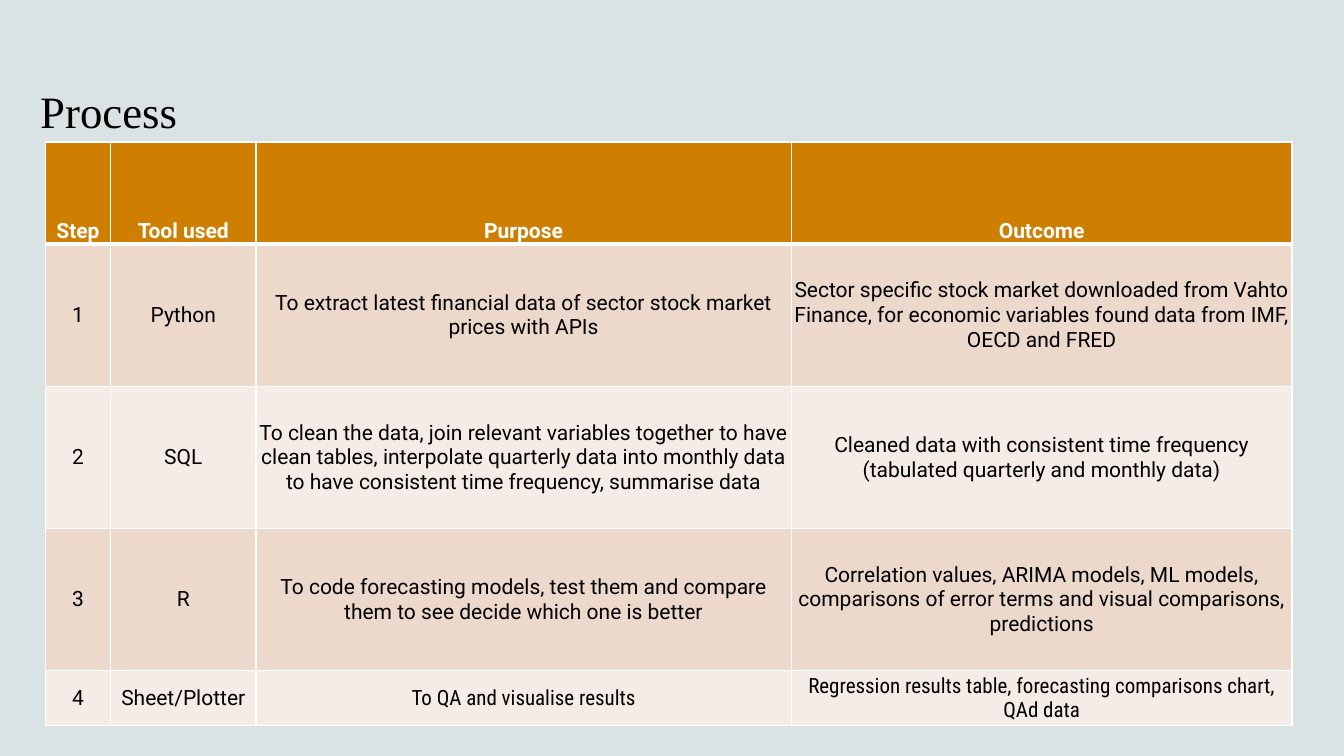
from pptx import Presentation
from pptx.dml.color import RGBColor
from pptx.enum.text import MSO_ANCHOR, PP_ALIGN
from pptx.oxml.ns import qn
from pptx.util import Cm, Pt
from lxml.etree import SubElement

TITLE = "Process"
HEADINGS = ("Step", "Tool used", "Purpose", "Outcome")
STEPS = [
    ("Python",
     "To extract latest financial data of sector stock market prices with APIs",
     "Sector specific stock market downloaded from Vahto Finance, for economic "
     "variables found data from IMF, OECD and FRED"),
    ("SQL",
     "To clean the data, join relevant variables together to have clean tables, "
     "interpolate quarterly data into monthly data to have consistent time "
     "frequency, summarise data",
     "Cleaned data with consistent time frequency (tabulated quarterly and monthly data)"),
    ("R",
     "To code forecasting models, test them and compare them to see decide which one is better",
     "Correlation values, ARIMA models, ML models, comparisons of error terms and "
     "visual comparisons, predictions"),
    ("Sheet/Plotter",
     "To QA and visualise results",
     "Regression results table, forecasting comparisons chart, QAd data"),
]
COLORS = {
    "background": "DAE3E3",
    "header": "CE7F01",
    "odd": "EDD8CC",
    "even": "F6ECE7",
    "white": "FFFFFF",
    "black": "000000",
}
COLUMN_WIDTHS = (1.65, 3.66, 13.49, 12.62)
ROW_HEIGHTS = (2.57, 3.58, 3.58, 3.58, 1.4)
TABLE_LEFT, TABLE_TOP = 1.14, 3.58


def color(name):
    return RGBColor.from_string(COLORS[name])


def add_text(paragraph, text, font, size, color_name, bold=False):
    run = paragraph.add_run()
    run.text = text
    run.font.name = font
    run.font.size = Pt(size)
    run.font.bold = bold
    run.font.color.rgb = color(color_name)


def set_borders(cell, row):
    """Draw white lines, thicker between the header and the first step."""
    thick_edge = {0: "lnB", 1: "lnT"}.get(row)
    properties = cell._tc.get_or_add_tcPr()
    for edge in ("lnL", "lnR", "lnT", "lnB"):
        width = Pt(3 if edge == thick_edge else 1)
        line = SubElement(properties, qn(f"a:{edge}"), w=str(width))
        fill = SubElement(line, qn("a:solidFill"))
        SubElement(fill, qn("a:srgbClr"), val=COLORS["white"])


def format_cell(cell, row, column, text):
    is_header = row == 0
    set_borders(cell, row)
    cell.fill.solid()
    cell.fill.fore_color.rgb = color(
        "header" if is_header else "odd" if row % 2 else "even")
    cell.margin_left = cell.margin_right = cell.margin_top = Cm(0.02)
    cell.margin_bottom = 0
    cell.vertical_anchor = MSO_ANCHOR.BOTTOM if is_header else MSO_ANCHOR.MIDDLE
    condensed = row == len(STEPS) and column >= 2
    paragraph = cell.text_frame.paragraphs[0]
    paragraph.alignment = PP_ALIGN.CENTER
    add_text(paragraph, text, "Roboto Condensed" if condensed else "Roboto", 15,
             "white" if is_header else "black", bold=is_header)


def add_process_table(slide):
    rows = [HEADINGS] + [(str(n), *step) for n, step in enumerate(STEPS, 1)]
    table = slide.shapes.add_table(
        len(rows), len(HEADINGS), Cm(TABLE_LEFT), Cm(TABLE_TOP),
        Cm(sum(COLUMN_WIDTHS)), Cm(sum(ROW_HEIGHTS))).table
    for column, width in zip(table.columns, COLUMN_WIDTHS):
        column.width = Cm(width)
    for row, height in zip(table.rows, ROW_HEIGHTS):
        row.height = Cm(height)
    for r, texts in enumerate(rows):
        for c, text in enumerate(texts):
            format_cell(table.cell(r, c), r, c, text)


def add_title(slide):
    title = slide.shapes.title
    title.left, title.top = Cm(0.76), Cm(0.48)
    title.width, title.height = Cm(28.37), Cm(3.1)
    title.text_frame.vertical_anchor = MSO_ANCHOR.BOTTOM
    paragraph = title.text_frame.paragraphs[0]
    paragraph.alignment = PP_ALIGN.LEFT
    add_text(paragraph, TITLE, "Times New Roman", 32, "black")


def main():
    presentation = Presentation()
    presentation.slide_width, presentation.slide_height = Cm(33.87), Cm(19.05)
    slide = presentation.slides.add_slide(presentation.slide_layouts[5])
    slide.background.fill.solid()
    slide.background.fill.fore_color.rgb = color("background")
    add_title(slide)
    add_process_table(slide)
    presentation.save("out.pptx")


if __name__ == "__main__":
    main()
